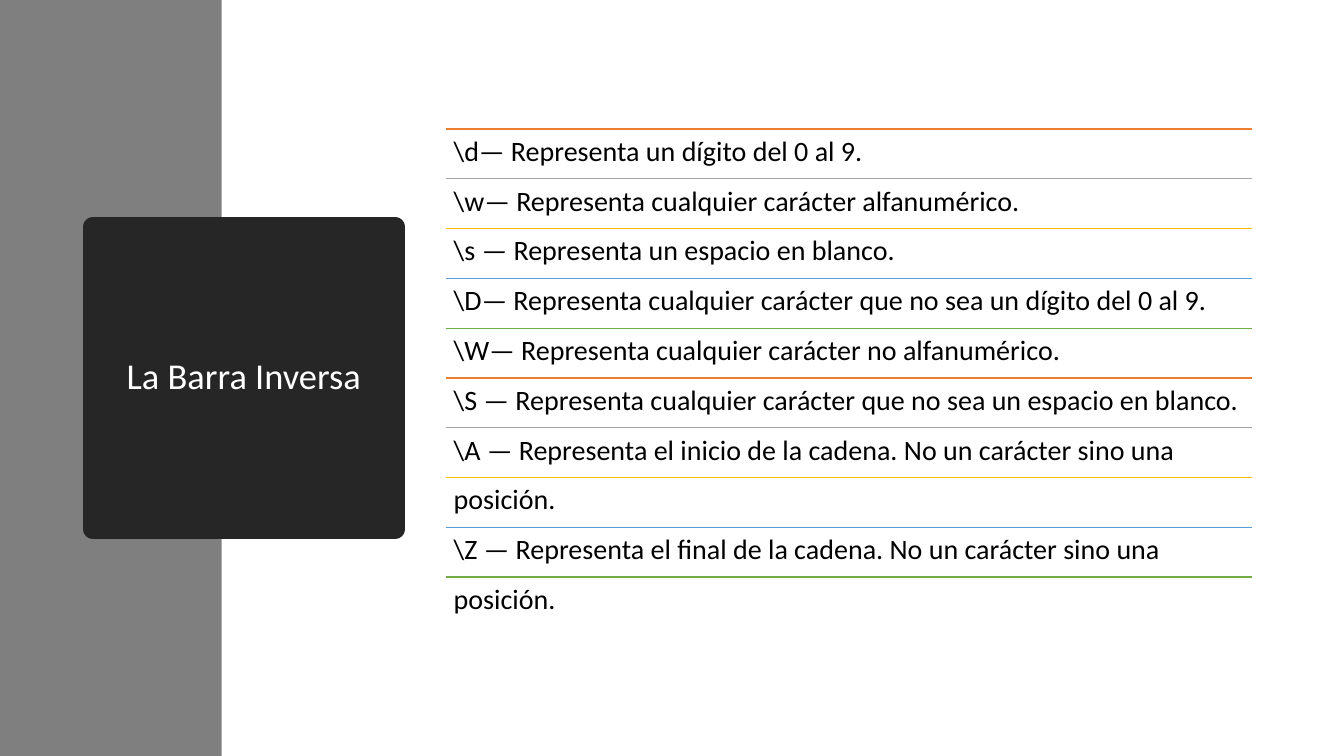
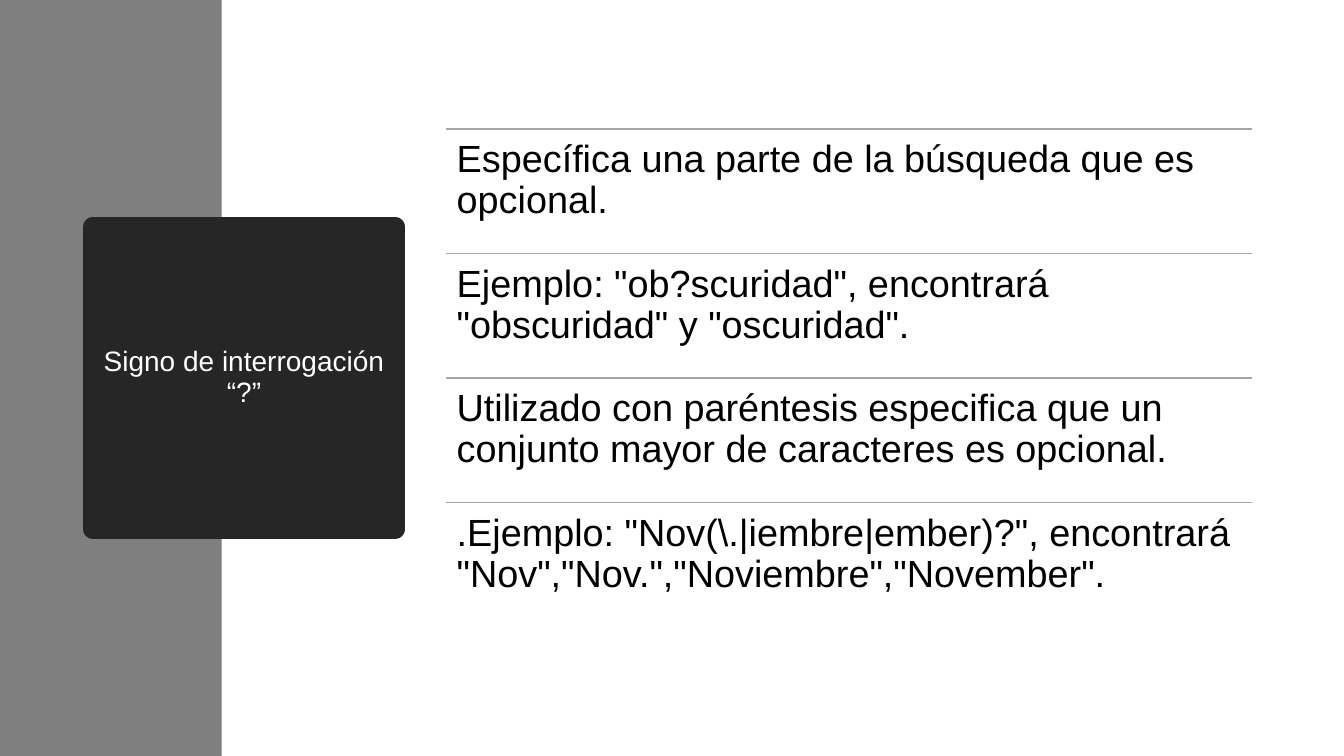
from dataclasses import dataclass
from itertools import cycle

from lxml.etree import SubElement
from pptx import Presentation
from pptx.dml.color import RGBColor as Rgb
from pptx.enum.shapes import MSO_CONNECTOR as Link, MSO_SHAPE as Form
from pptx.enum.text import MSO_ANCHOR as Anchor, MSO_AUTO_SIZE as Fit, PP_ALIGN as Align
from pptx.oxml.ns import qn
from pptx.util import Inches, Pt


@dataclass(frozen=True)
class Theme:
    band: str = "7F7F7F"
    card: str = "262626"
    light: str = "FFFFFF"
    ink: str = "000000"
    gray: str = "A5A5A5"
    accents: tuple = ("ED7D31", "A5A5A5", "FFC000", "599BD5", "70AD47")
    rule: float = 1
    edge: float = 13.75
    leading: float = 0.9


@dataclass(frozen=True)
class Box:
    left: float
    top: float
    width: float
    height: float

    def rows(self, count):
        step = self.height / count
        return [Box(self.left, self.top + i * step, self.width, step)
                for i in range(count)]

    def emu(self):
        return [Inches(v) for v in (self.left, self.top, self.width, self.height)]


THEME = Theme()
WIDTH, HEIGHT = 13.33, 7.5
BAND = Box(0, 0, 2.2, HEIGHT)
CARD = Box(0.92, 2.25, 3, 3)
LIST = Box(4.42, 1.28, 8, 4.94)

SLIDES = [
    dict(title="La Barra Inversa", font="Calibri", head=26, size=20,
         inset=0.08, colors=THEME.accents, lines=[
             "\\d— Representa un dígito del 0 al 9.",
             "\\w— Representa cualquier carácter alfanumérico.",
             "\\s — Representa un espacio en blanco.",
             "\\D— Representa cualquier carácter que no sea un dígito del 0 al 9.",
             "\\W— Representa cualquier carácter no alfanumérico.",
             "\\S — Representa cualquier carácter que no sea un espacio en blanco.",
             "\\A — Representa el inicio de la cadena. No un carácter sino una",
             "posición.",
             "\\Z — Representa el final de la cadena. No un carácter sino una",
             "posición.",
         ]),
    dict(title="Signo de interrogación “?”", font="Arial", head=20, size=27,
         inset=0.11, colors=(THEME.gray,), lines=[
             "Específica una parte de la búsqueda que es opcional.",
             'Ejemplo: "ob?scuridad", encontrará "obscuridad" y "oscuridad".',
             "Utilizado con paréntesis especifica que un conjunto mayor de "
             "caracteres es opcional.",
             '.Ejemplo: "Nov(\\.|iembre|ember)?", encontrará '
             '"Nov","Nov.","Noviembre","November".',
         ]),
]


def paint(shape, color):
    shape.fill.solid()
    shape.fill.fore_color.rgb = Rgb.from_string(color)


def write(shape, text, font, size, color, align, anchor, inset):
    frame = shape.text_frame
    frame.text = text
    frame.word_wrap = True
    frame.auto_size = Fit.NONE
    frame.vertical_anchor = anchor
    frame.margin_left = frame.margin_right = Inches(inset[0])
    frame.margin_top = frame.margin_bottom = Inches(inset[1])
    for para in frame.paragraphs:
        para.alignment = align
        para.line_spacing = THEME.leading
        for run in para.runs:
            run.font.name = font
            run.font.size = Pt(size)
            run.font.color.rgb = Rgb.from_string(color)


# Side band, kept behind the title
def add_band(slide, box):
    band = slide.shapes.add_shape(Form.RECTANGLE, *box.emu())
    band.shadow.inherit = False
    paint(band, THEME.band)
    band.line.fill.background()
    slide.shapes._spTree.insert(2, band._element)


# Title card with a thick, rounded edge
def add_title(slide, box, text, font, size):
    card = slide.shapes.title
    card.left, card.top, card.width, card.height = box.emu()
    paint(card, THEME.card)
    card.line.color.rgb = Rgb.from_string(THEME.card)
    card.line.width = Pt(THEME.edge)
    SubElement(card.line._get_or_add_ln(), qn("a:round"))
    write(card, text, font, size, THEME.light, Align.CENTER, Anchor.MIDDLE, (0.1, 0.05))


def add_rule(slide, box, color):
    left, top, width, _ = box.emu()
    rule = slide.shapes.add_connector(Link.STRAIGHT, left, top, left + width, top)
    rule.line.color.rgb = Rgb.from_string(color)
    rule.line.width = Pt(THEME.rule)
    SubElement(rule._element.spPr, qn("a:effectLst"))


# Equal rows, each under its own rule
def add_list(slide, box, lines, font, size, inset, colors):
    for row, text, color in zip(box.rows(len(lines)), lines, cycle(colors)):
        add_rule(slide, row, color)
        cell = slide.shapes.add_textbox(*row.emu())
        write(cell, text, font, size, THEME.ink, Align.LEFT, Anchor.TOP, (inset, inset))


def add_slide(deck, title, font, head, size, inset, colors, lines):
    slide = deck.slides.add_slide(deck.slide_layouts.get_by_name("Title Only"))
    add_band(slide, BAND)
    add_title(slide, CARD, title, font, head)
    add_list(slide, LIST, lines, font, size, inset, colors)


def main():
    deck = Presentation()
    deck.slide_width, deck.slide_height = Inches(WIDTH), Inches(HEIGHT)
    for page in SLIDES:
        add_slide(deck, **page)
    deck.save("out.pptx")


if __name__ == "__main__":
    main()
